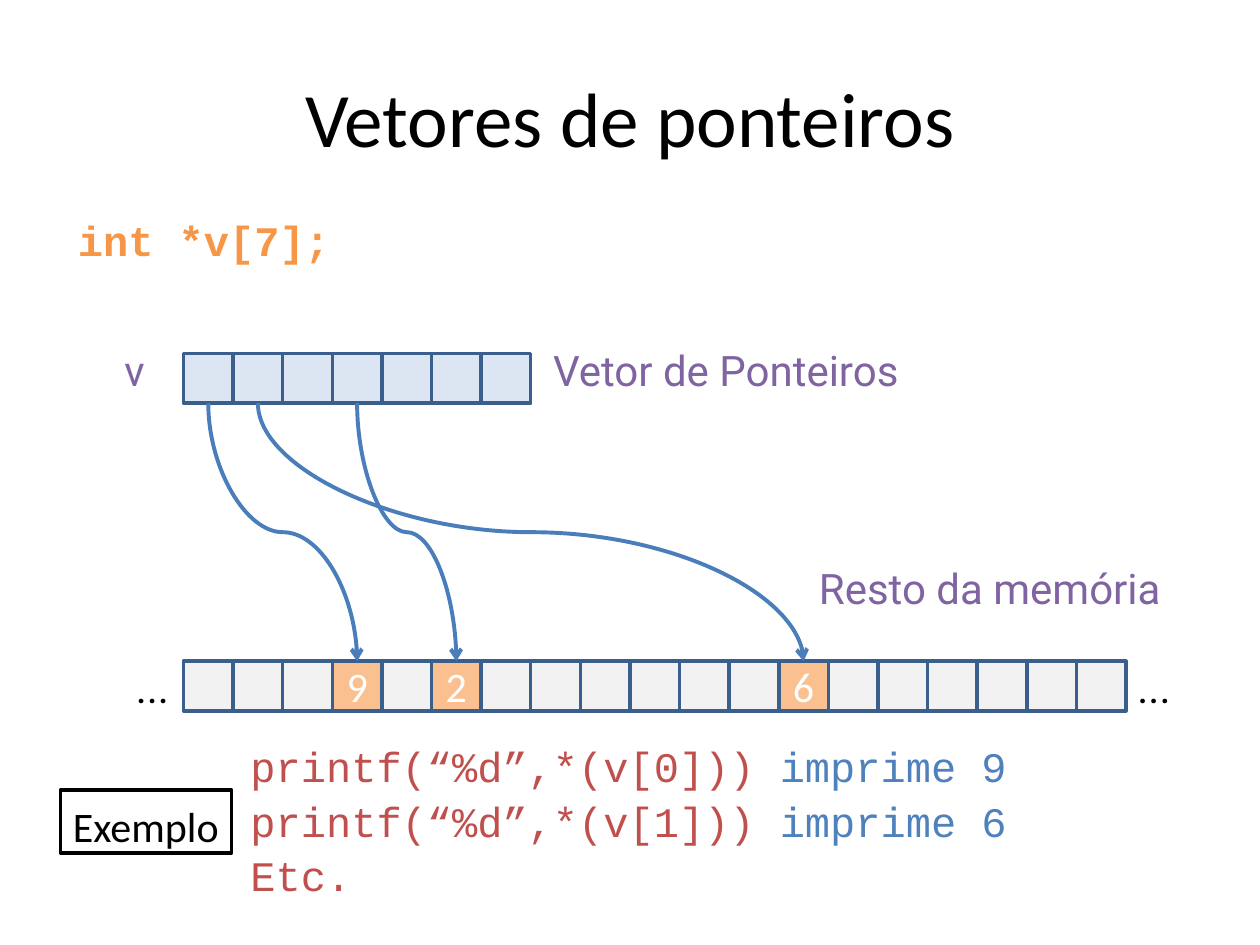
from lxml import etree
from pptx import Presentation
from pptx.dml.color import RGBColor
from pptx.enum.shapes import MSO_CONNECTOR, MSO_SHAPE
from pptx.enum.text import MSO_ANCHOR, PP_ALIGN
from pptx.oxml.ns import qn
from pptx.util import Cm, Pt

CURVE = MSO_CONNECTOR.CURVE
RECTANGLE = MSO_SHAPE.RECTANGLE
MIDDLE = MSO_ANCHOR.MIDDLE
TOP = MSO_ANCHOR.TOP
CENTER = PP_ALIGN.CENTER
LEFT = PP_ALIGN.LEFT

COLORS = {
    "black": "000000",
    "white": "FFFFFF",
    "pointer": "DCE6F2",
    "memory": "F2F2F2",
    "target": "FAC090",
    "border": "3A5F8C",
    "arrow": "4A7EBB",
    "label": "8064A2",
    "declaration": "F79646",
    "code": "C0504D",
    "result": "4F81BD",
}

CELL = 1
ROW_LEFT = 3.7
POINTER_TOP = 7.13
MEMORY_TOP = 13.33
POINTER_COUNT = 7
MEMORY_COUNT = 19
STORED_VALUES = {3: "9", 5: "2", 12: "6"}
POINTER_TARGETS = {0: 3, 1: 12, 3: 5}

LABELS = [
    ("...", (2.49, 13.13, 1.32, 1.27), "Roboto", "black", False),
    ("...", (22.68, 13.13, 1.32, 1.27), "Roboto", "black", False),
    ("v", (2.26, 6.73, 0.99, 1.27), "Roboto", "label", False),
    ("Vetor de Ponteiros", (10.9, 6.73, 8.51, 1.27), "Roboto", "label", False),
    ("Resto da memória", (16.26, 11.13, 8.26, 1.27), "Roboto", "label", False),
    ("int *v[7];", (1.32, 4.11, 5.59, 1.27), "Courier New", "declaration", True),
]

EXAMPLE_LINES = [
    [("printf(“%d”,*(v[0])) ", "code"), ("imprime 9", "result")],
    [("printf(“%d”,*(v[1])) ", "code"), ("imprime 6", "result")],
    [("Etc.", "code")],
]


def color(name):
    return RGBColor.from_string(COLORS[name])


def set_values(target, values):
    for name, value in values.items():
        setattr(target, name, value)


def add_span(para, text, font, color_name, size=24, bold=False):
    span = para.add_run()
    span.text = text
    set_values(span.font, {"name": font, "size": Pt(size), "bold": bold})
    span.font.color.rgb = color(color_name)


def paint(shape, fill, border):
    shape.fill.solid()
    shape.fill.fore_color.rgb = color(fill)
    shape.line.color.rgb = color(border)
    shape.line.width = Pt(2)


def place_title(page, text):
    title = page.shapes.title
    set_values(title, {"left": Cm(1.27), "top": Cm(0.76),
                       "width": Cm(22.86), "height": Cm(3.18)})
    title.text_frame.vertical_anchor = MIDDLE
    para = title.text_frame.paragraphs[0]
    para.alignment = CENTER
    add_span(para, text, "Calibri", "black", 44)


def add_text(page, lines, place, font, bold=False):
    box = page.shapes.add_textbox(*map(Cm, place))
    frame = box.text_frame
    set_values(frame, {"word_wrap": False, "vertical_anchor": TOP})
    for index, spans in enumerate(lines):
        para = frame.add_paragraph() if index else frame.paragraphs[0]
        set_values(para, {"alignment": LEFT, "line_spacing": 1.08})
        for text, color_name in spans:
            add_span(para, text, font, color_name, bold=bold)
    return box


def add_cell_row(page, top, count, fill, values):
    for index in range(count):
        place = (ROW_LEFT + index * CELL, top, CELL, CELL)
        cell = page.shapes.add_shape(RECTANGLE, *map(Cm, place))
        cell.shadow.inherit = False
        paint(cell, "target" if index in values else fill, "border")
        if index in values:
            cell.text_frame.vertical_anchor = MIDDLE
            para = cell.text_frame.paragraphs[0]
            para.alignment = CENTER
            add_span(para, values[index], "Calibri", "white")


def add_pointer_arrow(page, source, target):
    start_y = POINTER_TOP + CELL
    half_drop = (MEMORY_TOP - start_y) / 2
    half_span = (target - source) * CELL / 2
    middle_x = ROW_LEFT + (source + target + 1) * CELL / 2
    middle_y = start_y + half_drop
    ends = (middle_x + half_drop, middle_y - half_span,
            middle_x - half_drop, middle_y + half_span)
    arrow = page.shapes.add_connector(CURVE, *map(Cm, ends))
    arrow.line.color.rgb = color("arrow")
    arrow.line.width = Pt(2.24)
    properties = arrow._element.spPr
    properties.find(qn("a:xfrm")).set("rot", str(270 * 60000))
    etree.SubElement(properties.find(qn("a:ln")), qn("a:tailEnd"), type="arrow")
    etree.SubElement(properties, qn("a:effectLst"))


def main():
    deck = Presentation()
    set_values(deck, {"slide_width": Cm(25.4), "slide_height": Cm(19.05)})
    page = deck.slides.add_slide(deck.slide_layouts[5])
    place_title(page, "Vetores de ponteiros")
    add_cell_row(page, POINTER_TOP, POINTER_COUNT, "pointer", {})
    add_cell_row(page, MEMORY_TOP, MEMORY_COUNT, "memory", STORED_VALUES)
    for source, target in POINTER_TARGETS.items():
        add_pointer_arrow(page, source, target)
    for text, place, font, color_name, bold in LABELS:
        add_text(page, [[(text, color_name)]], place, font, bold)
    add_text(page, EXAMPLE_LINES, (4.8, 14.73, 15.75, 3.45), "Courier New")
    example = add_text(page, [[("Exemplo", "black")]],
                       (1.22, 15.93, 3.45, 1.27), "Calibri")
    paint(example, "white", "black")
    deck.save("out.pptx")


main()
